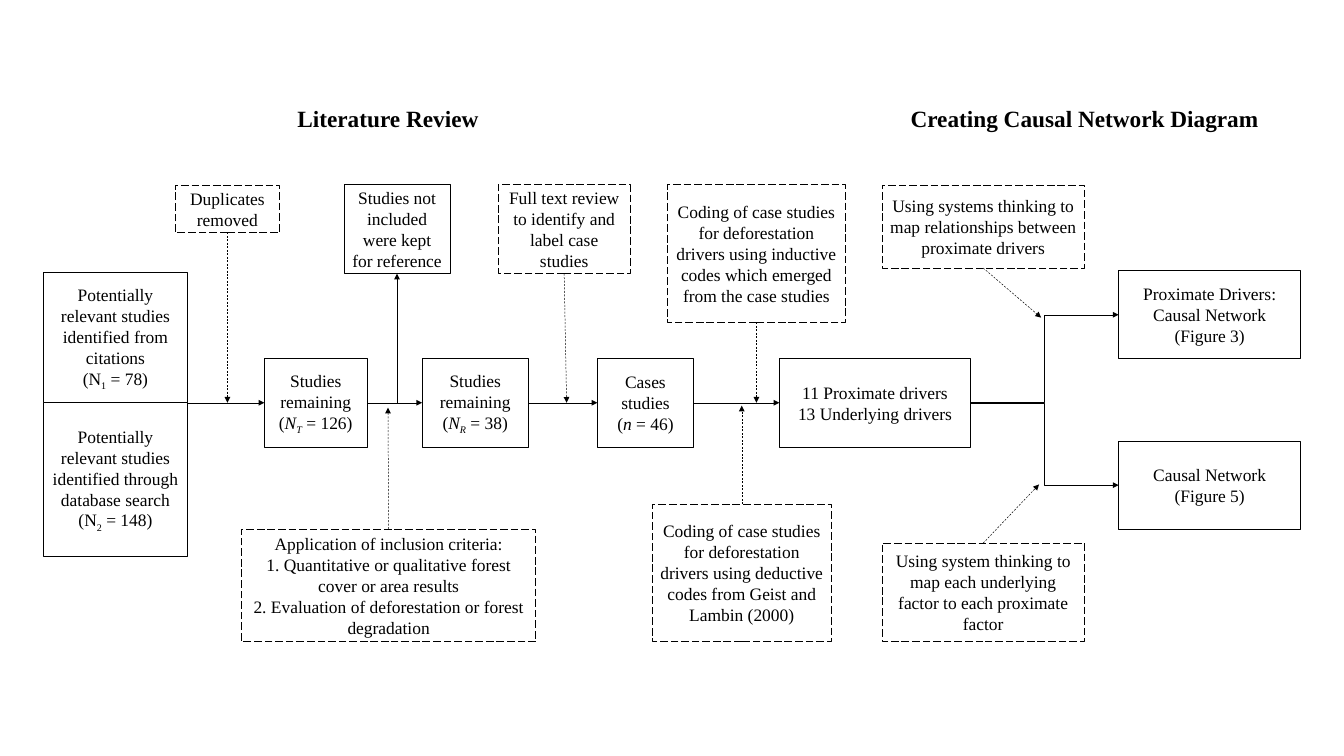
from dataclasses import dataclass

from lxml import etree
from pptx import Presentation
from pptx.dml.color import RGBColor
from pptx.enum.dml import MSO_LINE
from pptx.enum.shapes import MSO_CONNECTOR, MSO_SHAPE
from pptx.enum.text import MSO_ANCHOR, PP_ALIGN
from pptx.oxml.ns import qn
from pptx.slide import Slide
from pptx.util import Inches, Pt

BLACK = RGBColor(0x00, 0x00, 0x00)
WHITE = RGBColor(0xFF, 0xFF, 0xFF)
FONT = "Times New Roman"
RECTANGLE = MSO_SHAPE.RECTANGLE
STRAIGHT = MSO_CONNECTOR.STRAIGHT
ELBOW = MSO_CONNECTOR.ELBOW
DASH = MSO_LINE.DASH
LONG_DASH = MSO_LINE.LONG_DASH
CENTER = PP_ALIGN.CENTER
TOP_ANCHOR = MSO_ANCHOR.TOP
MIDDLE_ANCHOR = MSO_ANCHOR.MIDDLE

TOP, LEFT, BOTTOM, RIGHT = range(4)
SIDE_FRACTIONS = [(0.5, 0), (0, 0.5), (0.5, 1), (1, 0.5)]

FLOW = 4.33
NOTES = 1.21
STEP_HEIGHT = 1.27
TITLE_HEIGHT = 0.5


@dataclass
class Region:
    slide: Slide
    left: float
    top: float
    width: float
    height: float

    def point(self, anchor):
        first, second = anchor
        if isinstance(first, (int, float)):
            return Inches(self.left + first), Inches(self.top + second)
        across, down = SIDE_FRACTIONS[second]
        return (int(first.left + first.width * across),
                int(first.top + first.height * down))

    def rectangle(self, x, y, width, height, paragraphs, size=18, bold=False):
        shape = self.slide.shapes.add_shape(
            RECTANGLE, *self.point((x, y)), Inches(width), Inches(height))
        shape.shadow.inherit = False
        shape.fill.solid()
        shape.fill.fore_color.rgb = WHITE
        shape.line.fill.background()
        frame = shape.text_frame
        frame.word_wrap = True
        frame.vertical_anchor = MIDDLE_ANCHOR
        for index, content in enumerate(paragraphs):
            paragraph = frame.paragraphs[0] if index == 0 else frame.add_paragraph()
            paragraph.alignment = CENTER
            runs = [(content, "")] if isinstance(content, str) else content
            for text, style in runs:
                run = paragraph.add_run()
                run.text = text
                run.font.name = FONT
                run.font.size = Pt(size)
                run.font.bold = bold
                run.font.italic = "italic" in style
                run.font.color.rgb = BLACK
                if "sub" in style:
                    run.font._element.set("baseline", "-25000")
        return shape

    def title(self, x, width, text):
        heading = self.rectangle(x, 0, width, TITLE_HEIGHT, [text], 24, True)
        heading.text_frame.vertical_anchor = TOP_ANCHOR

    def box(self, x, y, width, height, *paragraphs):
        shape = self.rectangle(x, y, width, height, paragraphs)
        shape.line.color.rgb = BLACK
        shape.line.width = Pt(1)
        return shape

    def step(self, x, width, *paragraphs):
        return self.box(x, FLOW - STEP_HEIGHT / 2, width, STEP_HEIGHT, *paragraphs)

    def upper_note(self, x, width, height, target, *paragraphs):
        note = self.box(x, NOTES, width, height, *paragraphs)
        note.line.dash_style = LONG_DASH
        self.arrow((note, BOTTOM), target, dashed=True)

    def lower_note(self, x, width, height, target, *paragraphs):
        note = self.box(x, self.height - height, width, height, *paragraphs)
        note.line.dash_style = LONG_DASH
        self.arrow((note, TOP), target, dashed=True)

    def arrow(self, start, end, dashed=False, kind=STRAIGHT):
        connector = self.slide.shapes.add_connector(
            kind, *self.point(start), *self.point(end))
        for anchor, attach in ((start, connector.begin_connect),
                               (end, connector.end_connect)):
            if not isinstance(anchor[0], (int, float)):
                attach(*anchor)
        connector.line.color.rgb = BLACK
        connector.line.width = Pt(0.5)
        if dashed:
            connector.line.dash_style = DASH
        properties = connector._element.spPr
        line = properties.find(qn("a:ln"))
        etree.SubElement(line, qn("a:tailEnd")).set("type", "triangle")
        etree.SubElement(properties, qn("a:effectLst"))


def count(symbol, subscript, value, style=""):
    return [("(", ""), (symbol, style), (subscript, style + "sub"), (f" = {value})", "")]


def literature_review(region):
    region.title(2.96, 3.96, "Literature Review")
    region.box(0, FLOW, 2.07, 2.2,
               "Potentially relevant studies identified through database search",
               count("N", "2", 148))
    region.box(0, FLOW - 1.86, 2.07, 1.86,
               "Potentially relevant studies identified from citations",
               count("N", "1", 78))
    unique = region.step(3.17, 1.47, "Studies remaining", count("N", "T", 126, "italic"))
    relevant = region.step(5.43, 1.52, "Studies remaining", count("N", "R", 38, "italic"))
    cases = region.step(7.94, 1.38, "Cases studies",
                        [("(", ""), ("n", "italic"), (" = 46)", "")])
    drivers = region.step(region.width - 2.74, 2.74,
                          "11 Proximate drivers", "13 Underlying drivers")
    region.arrow((2.07, FLOW), (unique, LEFT))
    for source, target in ((unique, relevant), (relevant, cases), (cases, drivers)):
        region.arrow((source, RIGHT), (target, LEFT))

    excluded = region.box(4.31, NOTES, 1.52, STEP_HEIGHT,
                          "Studies not included were kept for reference")
    region.arrow((5.07, FLOW), (excluded, BOTTOM))

    region.upper_note(1.89, 1.5, 0.68, (2.64, FLOW), "Duplicates removed")
    region.upper_note(6.52, 1.89, STEP_HEIGHT, (7.5, FLOW),
                      "Full text review to identify and label case studies")
    region.upper_note(8.94, 2.56, 1.97, (10.22, FLOW),
                      "Coding of case studies for deforestation drivers using "
                      "inductive codes which emerged from the case studies")
    region.lower_note(2.84, 4.22, 1.61, (4.94, 4.4),
                      "Application of inclusion criteria:",
                      "1. Quantitative or qualitative forest cover or area results",
                      "2. Evaluation of deforestation or forest degradation")
    region.lower_note(8.73, 2.56, 1.97, (10.01, 4.37),
                      "Coding of case studies for deforestation drivers using "
                      "deductive codes from Geist and Lambin (2000)")
    return drivers


def causal_network(region, drivers):
    region.title(0, 6.04, "Creating Causal Network Diagram")
    outcome_width, outcome_height = 2.61, 1.26
    outcomes = ((2.44, "Proximate Drivers: Causal Network", "(Figure 3)"),
                (4.88, "Causal Network", "(Figure 5)"))
    for y, name, figure in outcomes:
        outcome = region.box(region.width - outcome_width, y,
                             outcome_width, outcome_height, name, figure)
        region.arrow((drivers, RIGHT), (outcome, LEFT), kind=ELBOW)
    region.upper_note(0.12, 2.9, 1.19, (2.4, 3.11),
                      "Using systems thinking to map relationships between "
                      "proximate drivers")
    region.lower_note(0.12, 2.9, 1.41, (2.37, 5.5),
                      "Using system thinking to map each underlying factor to "
                      "each proximate factor")


def main():
    presentation = Presentation()
    presentation.slide_width = Inches(19.26)
    presentation.slide_height = Inches(10.83)
    slide = presentation.slides.add_slide(presentation.slide_layouts[6])
    drivers = literature_review(Region(slide, 0.62, 1.44, 13.29, 7.75))
    causal_network(Region(slide, 12.52, 1.44, 6.12, 7.75), drivers)
    presentation.save("out.pptx")


if __name__ == "__main__":
    main()
